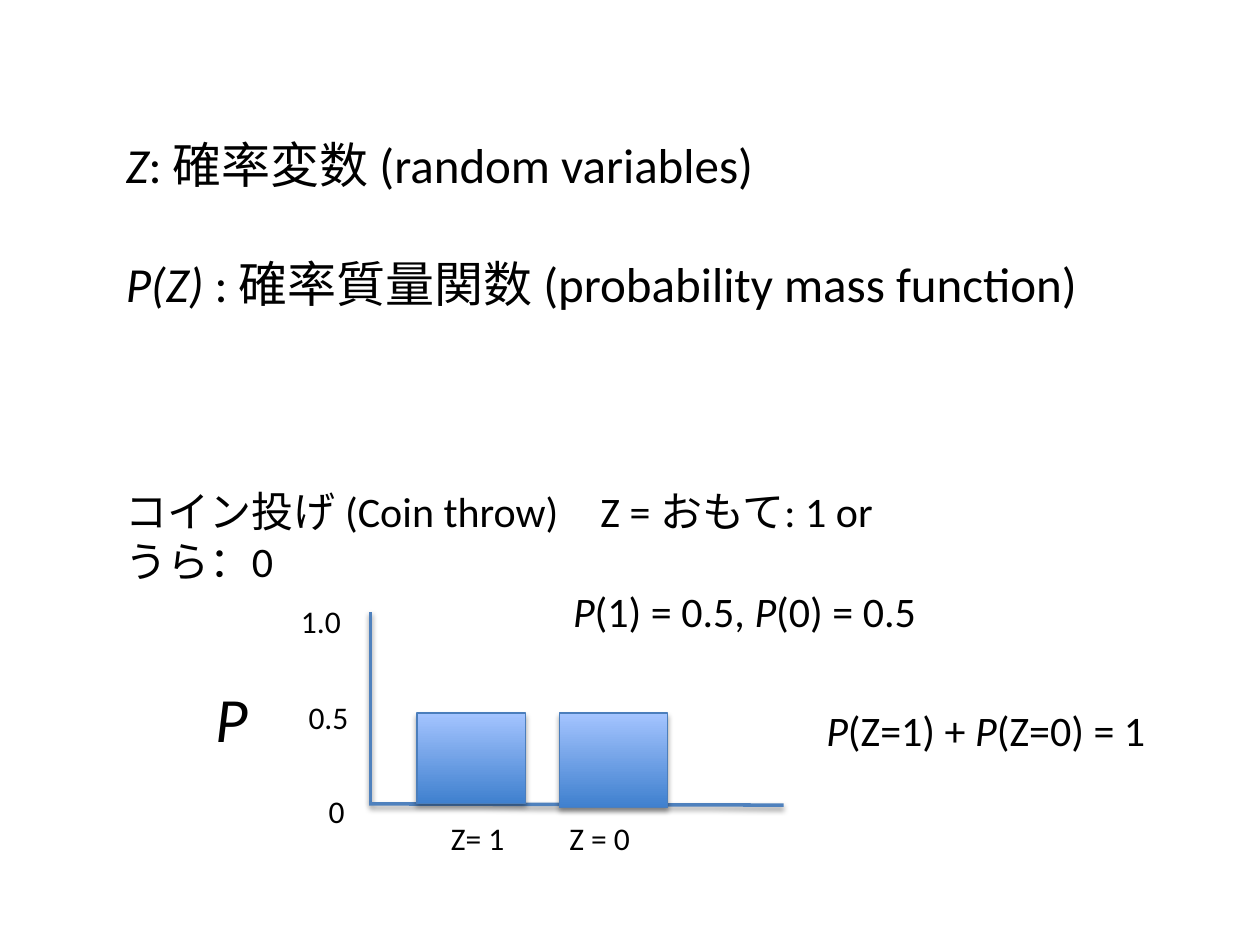
from lxml.etree import SubElement
from pptx import Presentation
from pptx.dml.color import RGBColor
from pptx.enum.shapes import MSO_CONNECTOR, MSO_SHAPE
from pptx.enum.text import MSO_AUTO_SIZE
from pptx.oxml.ns import qn
from pptx.util import Inches, Pt

BLACK = RGBColor(0x00, 0x00, 0x00)
AXIS_BLUE = RGBColor(0x4F, 0x81, 0xBD)
BAR_EDGE = RGBColor(0x4B, 0x7E, 0xBC)
BAR_DARK = RGBColor(0x3F, 0x80, 0xCE)
BAR_LIGHT = RGBColor(0xA4, 0xC4, 0xFF)


def add_text(left, top, width, height, size, *lines, wrap=True):
    """Add one paragraph per line; parts between asterisks are italic."""
    frame = slide.shapes.add_textbox(
        Inches(left), Inches(top), Inches(width), Inches(height)).text_frame
    frame.word_wrap = wrap
    frame.auto_size = MSO_AUTO_SIZE.SHAPE_TO_FIT_TEXT
    frame.text = "\n".join(line.replace("*", "") for line in lines)
    for paragraph, line in zip(frame.paragraphs, lines):
        if "*" in line:
            paragraph.text = ""
            for index, part in enumerate(line.split("*")):
                if part:
                    run = paragraph.add_run()
                    run.text = part
                    run.font.italic = index % 2 == 1
        for run in paragraph.runs:
            run.font.name = "Calibri"
            run.font.size = Pt(size)
            run.font.color.rgb = BLACK
    return frame.paragraphs


def add_drop_shadow(effects, distance, opacity):
    shadow = SubElement(effects, qn("a:outerShdw"), blurRad=str(Pt(3.1)),
                        dist=str(Pt(distance)), dir="5400000", rotWithShape="0")
    color = SubElement(shadow, qn("a:srgbClr"), val=str(BLACK))
    SubElement(color, qn("a:alpha"), val=str(opacity * 1000))


presentation = Presentation()
presentation.slide_width = Inches(10)
presentation.slide_height = Inches(7.5)
slide = presentation.slides.add_slide(presentation.slide_layouts[6])

# Definitions and the coin example
definitions = add_text(0.9, 1.02, 7.84, 1.99, 28,
                       "*Z*: 確率変数 (random variables)",
                       "*P(Z) *: 確率質量関数 (probability mass function)")
definitions[1].space_before = Pt(34)

coin = add_text(0.9, 3.8, 6.94, 0.91, 24,
                "コイン投げ (Coin throw)　Z = おもて: 1 or\vうら：0",
                "*P*(1) = 0.5, *P*(0) = 0.5")
coin[1]._p.get_or_add_pPr().set("marL", str(Inches(3.55)))

# Axes
for x1, y1, x2, y2 in [(2.94, 4.86, 2.94, 6.37), (6.22, 6.39, 2.93, 6.38)]:
    axis = slide.shapes.add_connector(
        MSO_CONNECTOR.STRAIGHT, Inches(x1), Inches(y1), Inches(x2), Inches(y2))
    axis.line.color.rgb = AXIS_BLUE
    axis.line.width = Pt(2)
    effects = SubElement(axis._element.spPr, qn("a:effectLst"))
    add_drop_shadow(effects, 1.6, 38)

# Bars with their outcome labels
for bar_left, bar_height, label_left, outcome in [
        (3.31, 0.72, 3.48, "Z= 1"), (4.44, 0.75, 4.42, "Z = 0")]:
    bar = slide.shapes.add_shape(MSO_SHAPE.RECTANGLE, Inches(bar_left),
                                 Inches(5.66), Inches(0.86), Inches(bar_height))
    bar.fill.gradient()
    bar.fill.gradient_angle = 90
    for stop, position, color in zip(bar.fill.gradient_stops, (0, 1),
                                     (BAR_DARK, BAR_LIGHT)):
        stop.position = position
        stop.color.rgb = color
    bar.line.color.rgb = BAR_EDGE
    bar.line.width = Pt(0.75)
    bar.shadow.inherit = False
    add_drop_shadow(bar._element.spPr.find(qn("a:effectLst")), 1.8, 35)
    add_text(label_left, 6.45, 0.7, 0.4, 18, outcome, wrap=False)

# Probability scale
for left, top, width, value in [(2.35, 5.49, 0.52, "0.5"),
                                (2.29, 4.73, 0.52, "1.0"),
                                (2.51, 6.24, 0.33, "0")]:
    add_text(left, top, width, 0.4, 18, value, wrap=False)

add_text(1.61, 5.34, 0.46, 0.71, 36, "*P*", wrap=False)
add_text(6.46, 5.54, 2.76, 0.5, 24, "*P*(Z=1) + *P*(Z=0) = 1", wrap=False)

presentation.save("out.pptx")
